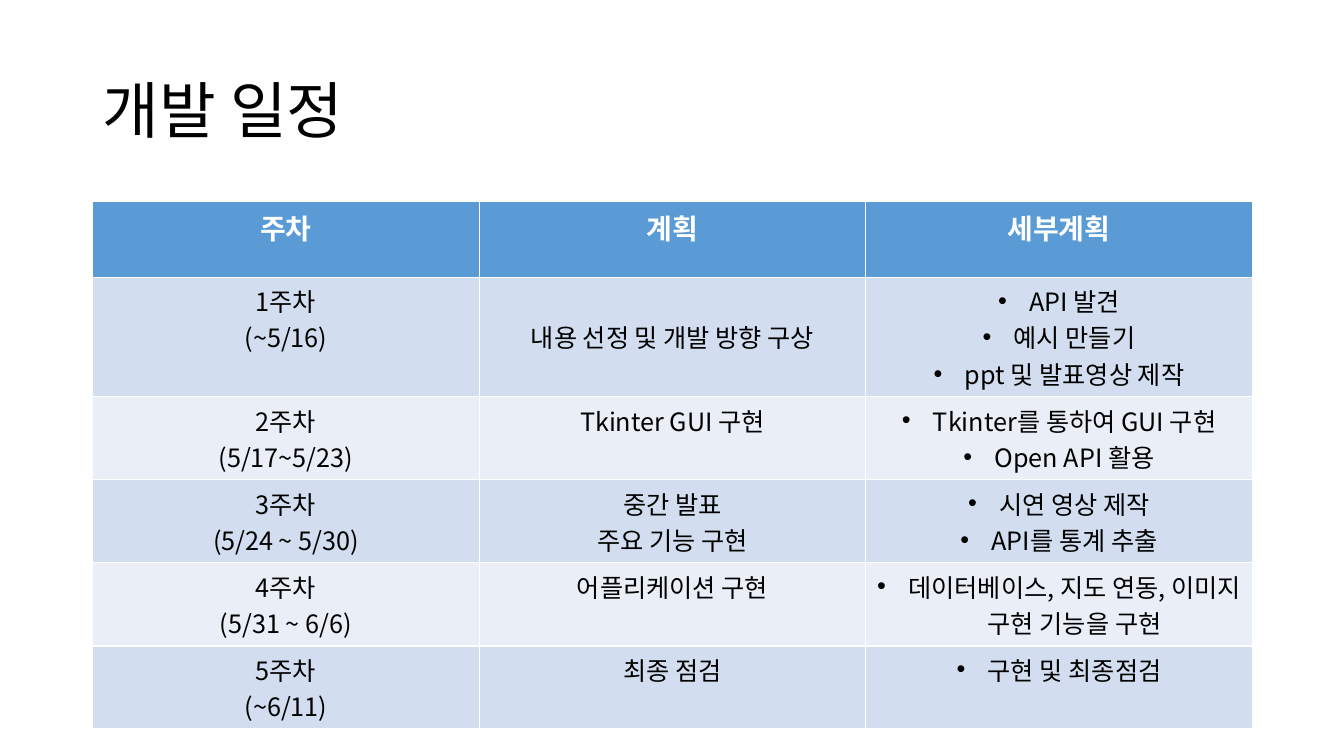
from lxml.etree import SubElement
from pptx import Presentation
from pptx.dml.color import RGBColor
from pptx.enum.text import MSO_ANCHOR, PP_ALIGN
from pptx.oxml.ns import qn
from pptx.util import Inches, Pt

TITLE = "개발 일정"
HEADINGS = ["주차", "계획", "세부계획"]
WEEKS = [
    (["1주차", "(~5/16)"], ["내용 선정 및 개발 방향 구상"],
     ["API 발견", "예시 만들기", "ppt 및 발표영상 제작"]),
    (["2주차", "(5/17~5/23)"], ["Tkinter GUI 구현"],
     ["Tkinter를 통하여 GUI 구현", "Open API 활용"]),
    (["3주차", "(5/24 ~ 5/30)"], ["중간 발표", "주요 기능 구현"],
     ["시연 영상 제작", "API를 통계 추출"]),
    (["4주차", "(5/31 ~ 6/6)"], ["어플리케이션 구현"],
     ["데이터베이스, 지도 연동, 이미지 구현 기능을 구현"]),
    (["5주차", "(~6/11)"], ["최종 점검"], ["구현 및 최종점검"]),
]
COLORS = {"header": "5B9BD5", "odd": "D2DEEF", "even": "EAEFF7",
          "light": "FFFFFF", "dark": "000000"}
FONT = "Noto Sans CJK KR"
TITLE_FORMAT = {"size": Pt(44), "bold": False, "name": FONT}
HEADER_FORMAT = {"size": Pt(20), "bold": True, "name": FONT}
BODY_FORMAT = {"size": Pt(18), "bold": False, "name": FONT}
LEFT, WIDTH = Inches(0.92), Inches(11.5)
TITLE_TOP, TITLE_HEIGHT = Inches(0.4), Inches(1.45)
TABLE_TOP, ROW_HEIGHT = Inches(2), Inches(0.75)
BULLET_INDENT = Inches(0.31)


def write(para, text, values, color):
    span = para.add_run()
    span.text = text
    for name, value in values.items():
        setattr(span.font, name, value)
    span.font.color.rgb = RGBColor.from_string(COLORS[color])
    SubElement(span.font._element, qn("a:ea"), typeface=FONT)


def add_bullet(para):
    properties = para._p.get_or_add_pPr()
    properties.set("marL", str(BULLET_INDENT))
    properties.set("indent", str(-BULLET_INDENT))
    SubElement(properties, qn("a:buFont"), typeface="Arial")
    SubElement(properties, qn("a:buChar"), char="•")


def fill_cell(cell, lines, values, color, background, bulleted):
    cell.fill.solid()
    cell.fill.fore_color.rgb = RGBColor.from_string(COLORS[background])
    frame = cell.text_frame
    for index, line in enumerate(lines):
        para = frame.add_paragraph() if index else frame.paragraphs[0]
        para.alignment = PP_ALIGN.CENTER
        if bulleted:
            add_bullet(para)
        write(para, line, values, color)


def add_title(page):
    box = page.shapes.title
    place = {"left": LEFT, "top": TITLE_TOP, "width": WIDTH, "height": TITLE_HEIGHT}
    for name, value in place.items():
        setattr(box, name, value)
    box.text_frame.vertical_anchor = MSO_ANCHOR.MIDDLE
    para = box.text_frame.paragraphs[0]
    para.alignment = PP_ALIGN.LEFT
    para.line_spacing = 0.9
    write(para, TITLE, TITLE_FORMAT, "dark")


def add_schedule(page):
    rows = [[[heading] for heading in HEADINGS], *WEEKS]
    table = page.shapes.add_table(len(rows), len(HEADINGS), LEFT, TABLE_TOP,
                                  WIDTH, ROW_HEIGHT * len(rows)).table
    for row, entries in enumerate(rows):
        if row == 0:
            values, color, background = HEADER_FORMAT, "light", "header"
        else:
            values, color = BODY_FORMAT, "dark"
            background = "odd" if row % 2 else "even"
        for column, lines in enumerate(entries):
            bulleted = row > 0 and column == len(HEADINGS) - 1
            fill_cell(table.cell(row, column), lines, values, color,
                      background, bulleted)
    table.cell(1, 1).vertical_anchor = MSO_ANCHOR.MIDDLE


def main():
    deck = Presentation()
    deck.slide_width, deck.slide_height = Inches(13.33), Inches(7.5)
    page = deck.slides.add_slide(deck.slide_layouts[5])
    add_title(page)
    add_schedule(page)
    deck.save("out.pptx")


if __name__ == "__main__":
    main()
